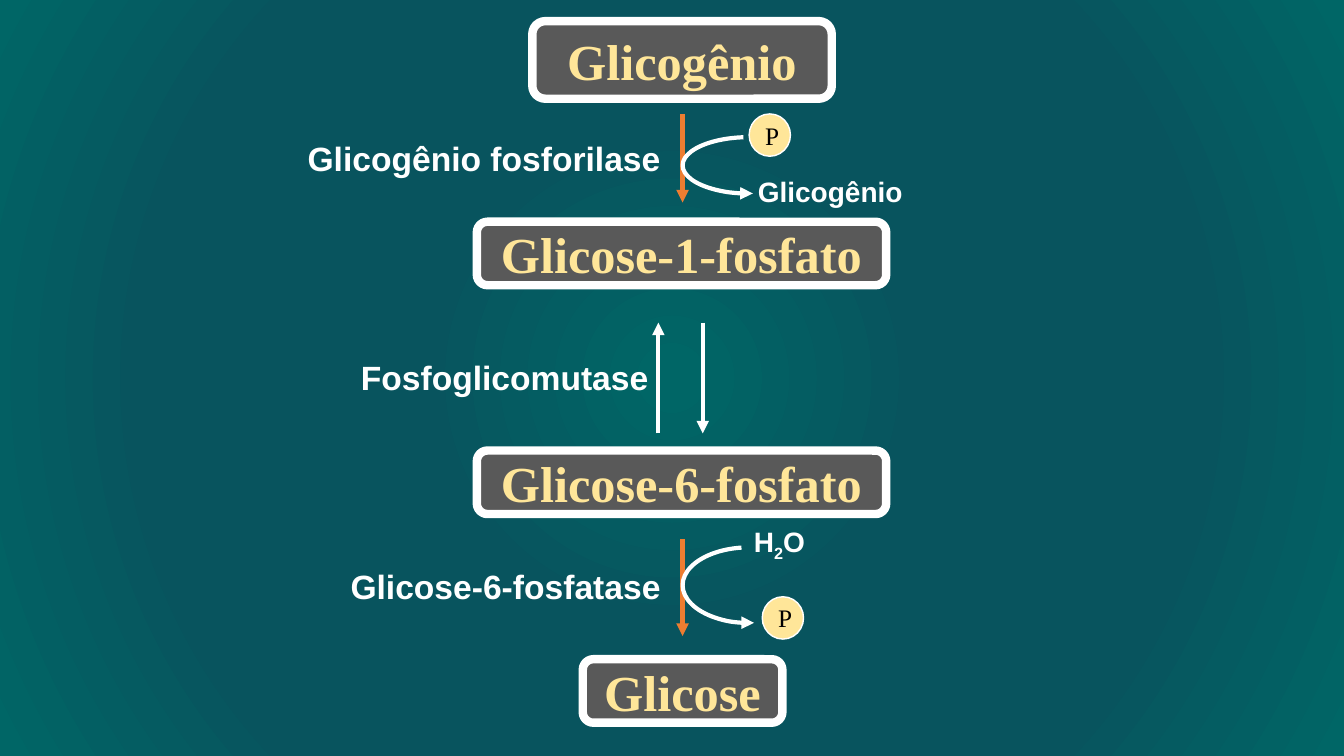
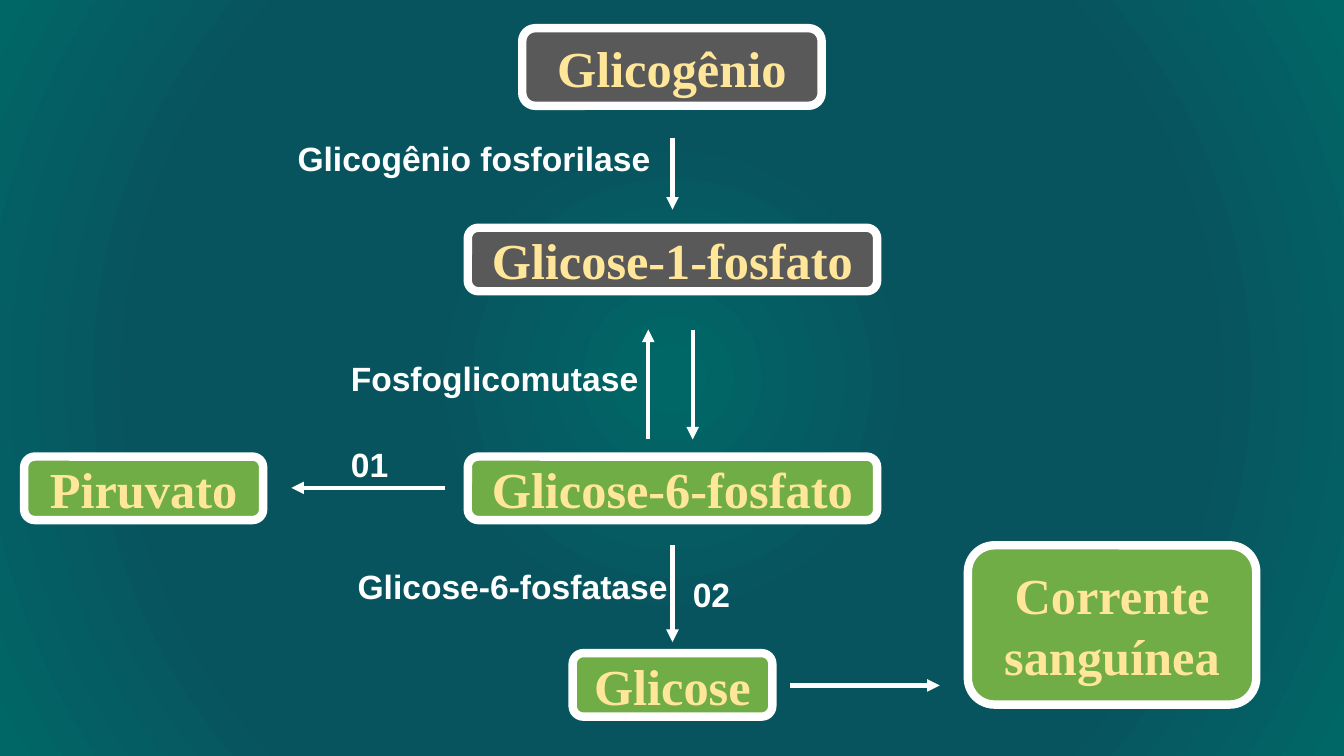
"""Build two slides on the path from glycogen to glucose."""
from dataclasses import dataclass

from lxml.etree import SubElement
from pptx import Presentation
from pptx.dml.color import RGBColor
from pptx.enum.shapes import MSO_CONNECTOR, MSO_SHAPE
from pptx.enum.text import MSO_ANCHOR, MSO_AUTO_SIZE, PP_ALIGN
from pptx.oxml import parse_xml
from pptx.oxml.ns import nsdecls, qn
from pptx.util import Inches, Pt


@dataclass(frozen=True)
class Theme:
    edge: str = "006666"
    deep: str = "08545E"
    white: str = "FFFFFF"
    black: str = "000000"
    cream: str = "FFE699"
    gray: str = "595959"
    green: str = "70AD47"
    orange: str = "ED7D31"
    serif: str = "Times New Roman"
    sans: str = "Arial"
    compound_size: int = 36
    enzyme_size: int = 24
    side_size: int = 20
    phosphate_size: int = 18
    frame_width: int = 6
    arrow_width: int = 3
    circle_width: int = 1


theme = Theme()


def write(shape, text, font_name, size, color, bold=True, align=PP_ALIGN.CENTER):
    frame = shape.text_frame
    frame.word_wrap = True
    para = frame.paragraphs[0]
    para.alignment = align
    para.font.name = font_name
    para.font.size = Pt(size)
    para.font.bold = bold
    para.font.color.rgb = RGBColor.from_string(color)
    for index, part in enumerate(text.split("_")):
        span = para.add_run()
        span.text = part
        if index == 1:
            span._r.get_or_add_rPr().set("baseline", "-25000")
    return frame


def outline(shape, width, color=theme.white, arrow_end=None):
    shape.line.color.rgb = RGBColor.from_string(color)
    shape.line.width = Pt(width)
    properties = shape.element.spPr
    if arrow_end:
        SubElement(properties.find(qn("a:ln")), qn(arrow_end), type="triangle")
    if properties.find(qn("a:effectLst")) is None:
        SubElement(properties, qn("a:effectLst"))


slides = [
    {
        "compounds": [
            ("Glicose", 5.78, 6.54, 1.98, 0.63, theme.gray),
            ("Glicose-6-fosfato", 4.73, 4.47, 4.06, 0.63, theme.gray),
            ("Glicose-1-fosfato", 4.73, 2.2, 4.06, 0.63, theme.gray),
            ("Glicogênio", 5.28, 0.21, 2.97, 0.77, theme.gray),
        ],
        "arrows": [
            (6.53, 4.3, 6.53, 3.2, theme.white),
            (6.97, 3.2, 6.97, 4.3, theme.white),
            (6.77, 1.13, 6.77, 2.01, theme.orange),
            (6.77, 5.35, 6.77, 6.31, theme.orange),
        ],
        "arcs": [(6.77, 5.43, 1.32, 0.75), (6.77, 1.36, 1.32, 0.56)],
        "phosphates": [(7.56, 5.92), (7.43, 1.13)],
        "side_products": [("H_2_O", 7.21, 5.15, 1.04), ("Glicogênio", 7.31, 1.68, 1.85)],
        "enzymes": [
            ("Glicogênio fosforilase", 2.82, 1.32, 3.83),
            ("Fosfoglicomutase", 2.7, 3.49, 3.83),
            ("Glicose-6-fosfatase", 2.82, 5.57, 3.83),
        ],
    },
    {
        "compounds": [
            ("Glicose", 5.68, 6.48, 1.98, 0.63, theme.green),
            ("Glicose-6-fosfato", 4.64, 4.53, 4.06, 0.63, theme.green),
            ("Glicose-1-fosfato", 4.64, 2.26, 4.06, 0.63, theme.gray),
            ("Glicogênio", 5.18, 0.28, 2.97, 0.77, theme.gray),
            ("Piruvato", 0.24, 4.53, 2.37, 0.63, theme.green),
            ("Corrente sanguínea", 9.6, 5.41, 2.86, 1.58, theme.green),
        ],
        "arrows": [
            (6.43, 4.36, 6.43, 3.27, theme.white),
            (6.87, 3.27, 6.87, 4.36, theme.white),
            (6.67, 1.37, 6.67, 2.08, theme.white),
            (6.67, 5.41, 6.67, 6.37, theme.white),
            (4.41, 4.84, 2.89, 4.84, theme.white),
            (7.84, 6.8, 9.32, 6.8, theme.white),
        ],
        "arcs": [],
        "phosphates": [],
        "side_products": [],
        "enzymes": [
            ("Glicogênio fosforilase", 2.72, 1.32, 3.83),
            ("Fosfoglicomutase", 2.6, 3.5, 3.83),
            ("Glicose-6-fosfatase", 2.89, 5.57, 3.83),
            ("01", 3.34, 4.35, 0.61),
            ("02", 6.73, 5.64, 0.61),
        ],
    },
]

deck = Presentation()
deck.slide_width = Inches(13.33)
deck.slide_height = Inches(7.5)

stops = [(1, theme.edge), (33, theme.deep), (68, theme.deep), (100, theme.edge)]
stop_xml = "".join(
    f'<a:gs pos="{position * 1000}"><a:srgbClr val="{color}"/></a:gs>' for position, color in stops
)
gradient = parse_xml(
    f'<a:gradFill {nsdecls("a")} rotWithShape="1"><a:gsLst>{stop_xml}</a:gsLst>'
    '<a:path path="circle"><a:fillToRect l="50000" t="50000" r="50000" b="50000"/></a:path>'
    "</a:gradFill>"
)
master = deck.slide_master
master.background.fill.gradient()
plain_gradient = master.element.find(f".//{qn('p:bgPr')}/{qn('a:gradFill')}")
plain_gradient.getparent().replace(plain_gradient, gradient)

for content in slides:
    page = deck.slides.add_slide(deck.slide_layouts[6])

    for name, left, top, width, height, fill in content["compounds"]:
        box = page.shapes.add_shape(
            MSO_SHAPE.ROUNDED_RECTANGLE, Inches(left), Inches(top), Inches(width), Inches(height)
        )
        box.shadow.inherit = False
        box.fill.solid()
        box.fill.fore_color.rgb = RGBColor.from_string(fill)
        outline(box, theme.frame_width)
        frame = write(box, name, theme.serif, theme.compound_size, theme.cream)
        frame.vertical_anchor = MSO_ANCHOR.MIDDLE

    for start_x, start_y, end_x, end_y, color in content["arrows"]:
        arrow = page.shapes.add_connector(
            MSO_CONNECTOR.STRAIGHT, Inches(start_x), Inches(start_y), Inches(end_x), Inches(end_y)
        )
        outline(arrow, theme.arrow_width, color, "a:tailEnd")

    for left, top, width, height in content["arcs"]:
        arc = page.shapes.add_shape(
            MSO_SHAPE.ARC, Inches(left), Inches(top), Inches(width), Inches(height)
        )
        arc.shadow.inherit = False
        arc.rotation = 180
        arc.adjustments[0] = 157.6
        arc.adjustments[1] = 47.06
        arc.fill.background()
        outline(arc, theme.arrow_width, arrow_end="a:headEnd")

    for left, top in content["phosphates"]:
        circle = page.shapes.add_shape(
            MSO_SHAPE.OVAL, Inches(left), Inches(top), Inches(0.41), Inches(0.42)
        )
        circle.shadow.inherit = False
        circle.fill.solid()
        circle.fill.fore_color.rgb = RGBColor.from_string(theme.cream)
        outline(circle, theme.circle_width)
        frame = write(circle, "P", theme.serif, theme.phosphate_size, theme.black, bold=False)
        frame.vertical_anchor = MSO_ANCHOR.MIDDLE

    label_groups = [
        ("side_products", 0.44, theme.side_size, PP_ALIGN.CENTER),
        ("enzymes", 0.5, theme.enzyme_size, PP_ALIGN.RIGHT),
    ]
    for group, height, size, align in label_groups:
        for text, left, top, width in content[group]:
            label = page.shapes.add_textbox(
                Inches(left), Inches(top), Inches(width), Inches(height)
            )
            frame = write(label, text, theme.sans, size, theme.white, align=align)
            frame.auto_size = MSO_AUTO_SIZE.SHAPE_TO_FIT_TEXT

deck.save("out.pptx")
